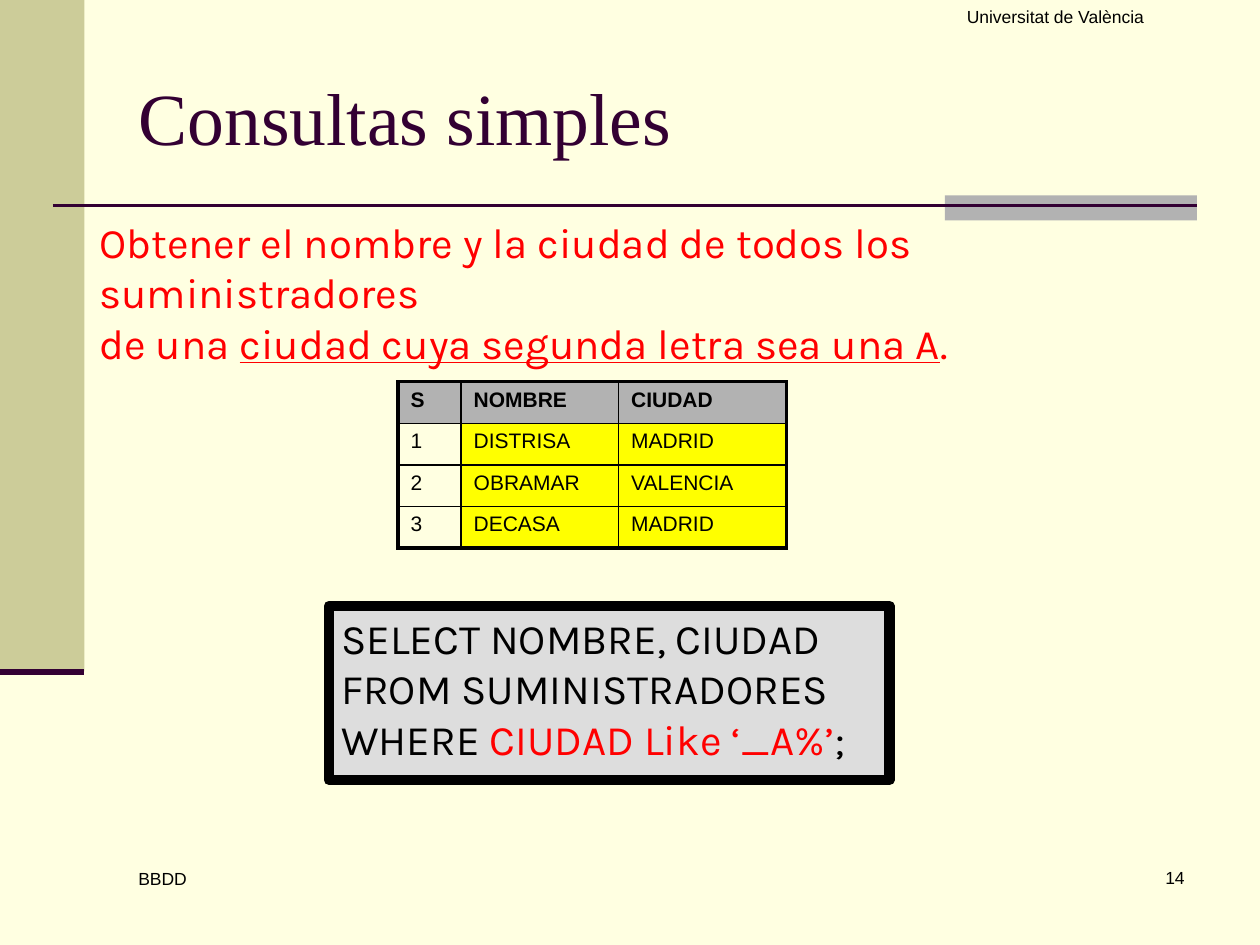
from pptx import Presentation
from pptx.dml.color import RGBColor
from pptx.enum.shapes import MSO_CONNECTOR as Conn, MSO_SHAPE as Shape
from pptx.enum.text import MSO_ANCHOR as Anchor, PP_ALIGN as Align
from pptx.oxml.ns import qn
from pptx.util import Inches, Pt
from lxml.etree import SubElement

# Content
TITLE = "Consultas simples"
LABELS = [
    ("Universitat de València", (6.75, 0, 3.25, 0.5), Align.CENTER),
    ("BBDD", (1, 6.84, 2.17, 0.5), Align.LEFT),
    ("14", (7.42, 6.83, 2.08, 0.5), Align.RIGHT),
]
# Each paragraph is a list of (text, colour, underline)
RED, BLACK, PLUM, GRAY, YELLOW = "FF0000", "000000", "330033", "B2B2B2", "FFFF00"
TASK = [
    [("Obtener el nombre y la ciudad de todos los suministradores", RED, False)],
    [("de una ", RED, False),
     ("ciudad cuya segunda letra sea una A", RED, True),
     (".", RED, False)],
]
QUERY = [
    [("SELECT NOMBRE, CIUDAD", BLACK, False)],
    [("FROM SUMINISTRADORES", BLACK, False)],
    [("WHERE ", BLACK, False), ("CIUDAD Like ‘_A%’", RED, False),
     (";", BLACK, False)],
]
ROWS = [
    ("S", "NOMBRE", "CIUDAD"),
    ("1", "DISTRISA", "MADRID"),
    ("2", "OBRAMAR", "VALENCIA"),
    ("3", "DECASA", "MADRID"),
]
COLS = (0.5, 1.25, 1.33)
ROW_H = 0.33
THICK, THIN = 2.25, 1


def color(code):
    return RGBColor.from_string(code)


def paint(fill, code):
    fill.solid()
    fill.fore_color.rgb = color(code)


def box(at):
    return [Inches(n) for n in at]


def add_run(para, text, size, face, code, bold=False, under=False):
    run = para.add_run()
    run.text = text
    font = run.font
    font.size, font.name, font.bold = Pt(size), face, bold
    font.color.rgb = color(code)
    if under:
        font.underline = True


def write(frame, paras):
    frame.word_wrap = True
    for i, runs in enumerate(paras):
        para = frame.add_paragraph() if i else frame.paragraphs[0]
        para.alignment = Align.LEFT
        for text, code, under in runs:
            add_run(para, text, 24, "Karla", code, under=under)


def add_rect(at, code):
    rect = slide.shapes.add_shape(Shape.RECTANGLE, *box(at))
    rect.shadow.inherit = False
    paint(rect.fill, code)
    rect.line.fill.background()
    return rect


def add_line(ends, width):
    line = slide.shapes.add_connector(Conn.STRAIGHT, *box(ends))
    line.line.color.rgb = color(PLUM)
    line.line.width = Pt(width)
    SubElement(line._element.spPr, qn("a:effectLst"))


def set_edge(props, side, width):
    edge = SubElement(props, qn("a:" + side), w=str(Pt(width)))
    fill = SubElement(edge, qn("a:solidFill"))
    SubElement(fill, qn("a:srgbClr"), val=BLACK)


prs = Presentation()
prs.slide_width, prs.slide_height = Inches(10), Inches(7.5)
slide = prs.slides.add_slide(prs.slide_layouts[5])
paint(slide.background.fill, "FFFFE1")

# Side band and title rule
add_rect((0, 0, 0.67, 5.33), "CCCC99")
add_rect((7.5, 1.55, 2, 0.2), GRAY)
add_line((0.42, 1.63, 9.5, 1.63), 1.5)
add_line((0, 5.33, 0.67, 5.33), 3.5)

# Title
title = slide.shapes.title
title.left, title.top, title.width, title.height = box((1, 0.3, 8.5, 1.25))
title.text_frame.vertical_anchor = Anchor.MIDDLE
head = title.text_frame.paragraphs[0]
head.alignment = Align.LEFT
add_run(head, TITLE, 42, "Times New Roman", PLUM)

# Header and footer labels
for text, at, align in LABELS:
    label = slide.shapes.add_textbox(*box(at)).text_frame
    label.word_wrap = True
    label.paragraphs[0].alignment = align
    add_run(label.paragraphs[0], text, 10, "Arial", BLACK)

# Task
write(slide.shapes.add_textbox(*box((0.69, 1.67, 8.97, 0.9))).text_frame, TASK)

# Table: thick outer edge, thin inner lines
size = (sum(COLS), ROW_H * len(ROWS))
table = slide.shapes.add_table(len(ROWS), len(COLS), *box((3.16, 3.03) + size)).table
table.first_row = table.horz_banding = False
for col, width in zip(table.columns, COLS):
    col.width = Inches(width)
for r, row in enumerate(ROWS):
    table.rows[r].height = Inches(ROW_H)
    for c, text in enumerate(row):
        cell = table.cell(r, c)
        add_run(cell.text_frame.paragraphs[0], text, 12, "Arial", BLACK, bold=r == 0)
        props = cell._tc.get_or_add_tcPr()
        outer = {"lnL": c == 0, "lnR": c == len(COLS) - 1,
                 "lnT": r == 0, "lnB": r == len(ROWS) - 1}
        for side, far in outer.items():
            set_edge(props, side, THICK if far else THIN)
        if r == 0:
            paint(cell.fill, GRAY)
        elif c:
            paint(cell.fill, YELLOW)
        else:
            cell.fill.background()

# Query
query = add_rect((2.61, 4.81, 4.45, 1.38), "DDDDDD")
query.line.color.rgb = color(BLACK)
query.line.width = Pt(6)
query.text_frame.vertical_anchor = Anchor.TOP
write(query.text_frame, QUERY)

prs.save("out.pptx")
